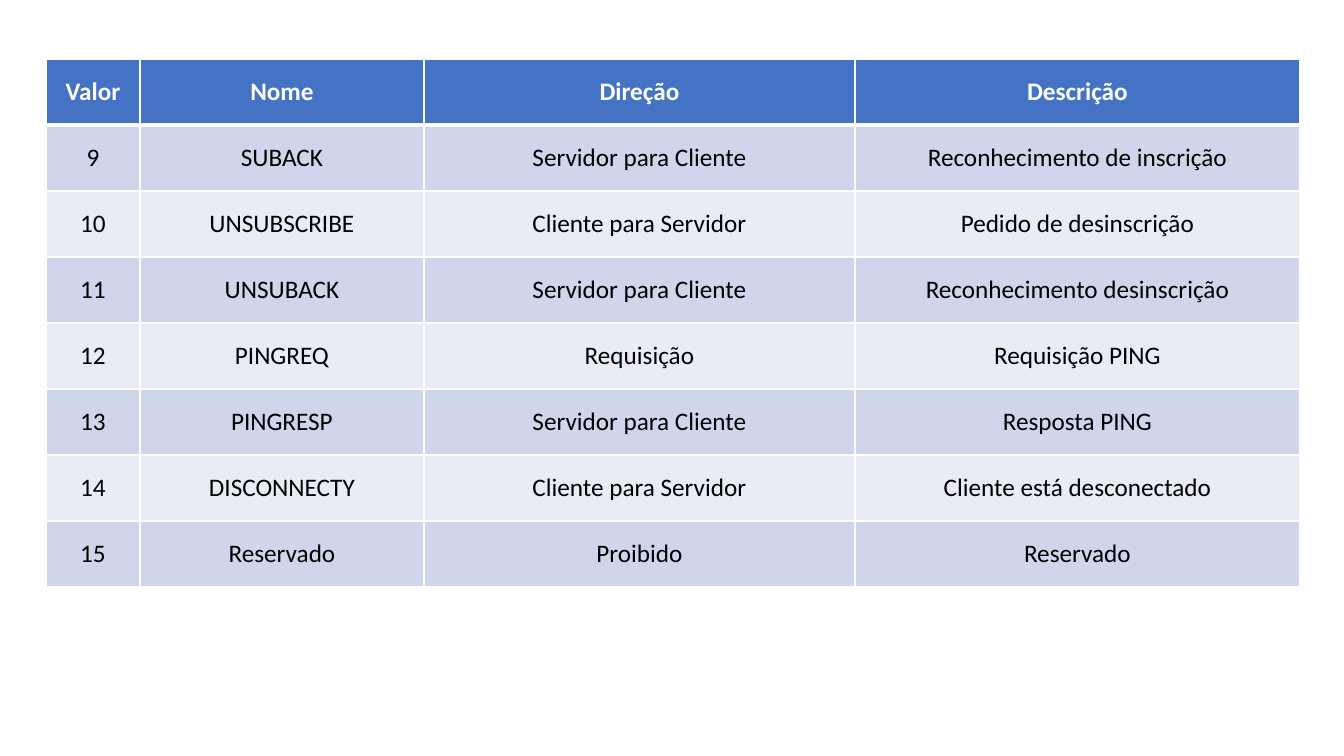
from dataclasses import dataclass

from lxml import etree
from pptx import Presentation
from pptx.dml.color import RGBColor as RGB
from pptx.enum.text import MSO_ANCHOR as ANCHOR, PP_ALIGN as ALIGN
from pptx.oxml.ns import qn
from pptx.util import Emu, Pt


@dataclass(frozen=True)
class Theme:
    font: str = "Calibri"
    size: int = 18
    header: str = "4472C4"
    bands: tuple = ("CFD5EA", "E9EBF5")
    header_text: str = "FFFFFF"
    body_text: str = "000000"
    border: str = "FFFFFF"
    thin: int = 1
    thick: int = 3


def px(n):
    """Convert pixels, 100.8 to the inch, into EMU."""
    return Emu(round(n * 914400 / 100.8))


def add_borders(cell, widths):
    tc_pr = cell._tc.get_or_add_tcPr()
    for side, width in widths.items():
        ln = etree.SubElement(tc_pr, qn(f"a:ln{side}"), w=str(Pt(width)))
        fill = etree.SubElement(ln, qn("a:solidFill"))
        etree.SubElement(fill, qn("a:srgbClr"), val=theme.border)


theme = Theme()
rows = [
    ("Valor", "Nome", "Direção", "Descrição"),
    ("9", "SUBACK", "Servidor para Cliente", "Reconhecimento de inscrição"),
    ("10", "UNSUBSCRIBE", "Cliente para Servidor", "Pedido de desinscrição"),
    ("11", "UNSUBACK", "Servidor para Cliente", "Reconhecimento desinscrição"),
    ("12", "PINGREQ", "Requisição", "Requisição PING"),
    ("13", "PINGRESP", "Servidor para Cliente", "Resposta PING"),
    ("14", "DISCONNECTY", "Cliente para Servidor", "Cliente está desconectado"),
    ("15", "Reservado", "Proibido", "Reservado"),
]
col_widths = [94, 284, 431, 445]
row_height = 66

prs = Presentation()
prs.slide_width, prs.slide_height = px(1344), px(756)
s = prs.slides.add_slide(prs.slide_layouts[6])

table = s.shapes.add_table(
    len(rows), len(col_widths), px(46), px(59),
    px(sum(col_widths)), px(row_height * len(rows)),
).table
for col, width in zip(table.columns, col_widths):
    col.width = px(width)

for i, texts in enumerate(rows):
    is_header = i == 0
    table.rows[i].height = px(row_height)
    fill = theme.header if is_header else theme.bands[(i - 1) % 2]
    color = theme.header_text if is_header else theme.body_text
    borders = {
        "L": theme.thin,
        "R": theme.thin,
        "T": theme.thick if i == 1 else theme.thin,
        "B": theme.thick if is_header else theme.thin,
    }
    font_format = {"name": theme.font, "size": Pt(theme.size), "bold": is_header}
    for cell, text in zip(table.rows[i].cells, texts):
        add_borders(cell, borders)
        cell.fill.solid()
        cell.fill.fore_color.rgb = RGB.from_string(fill)
        cell.vertical_anchor = ANCHOR.MIDDLE
        p = cell.text_frame.paragraphs[0]
        p.alignment = ALIGN.CENTER
        r = p.add_run()
        r.text = text
        for name, value in font_format.items():
            setattr(r.font, name, value)
        r.font.color.rgb = RGB.from_string(color)

prs.save("out.pptx")
